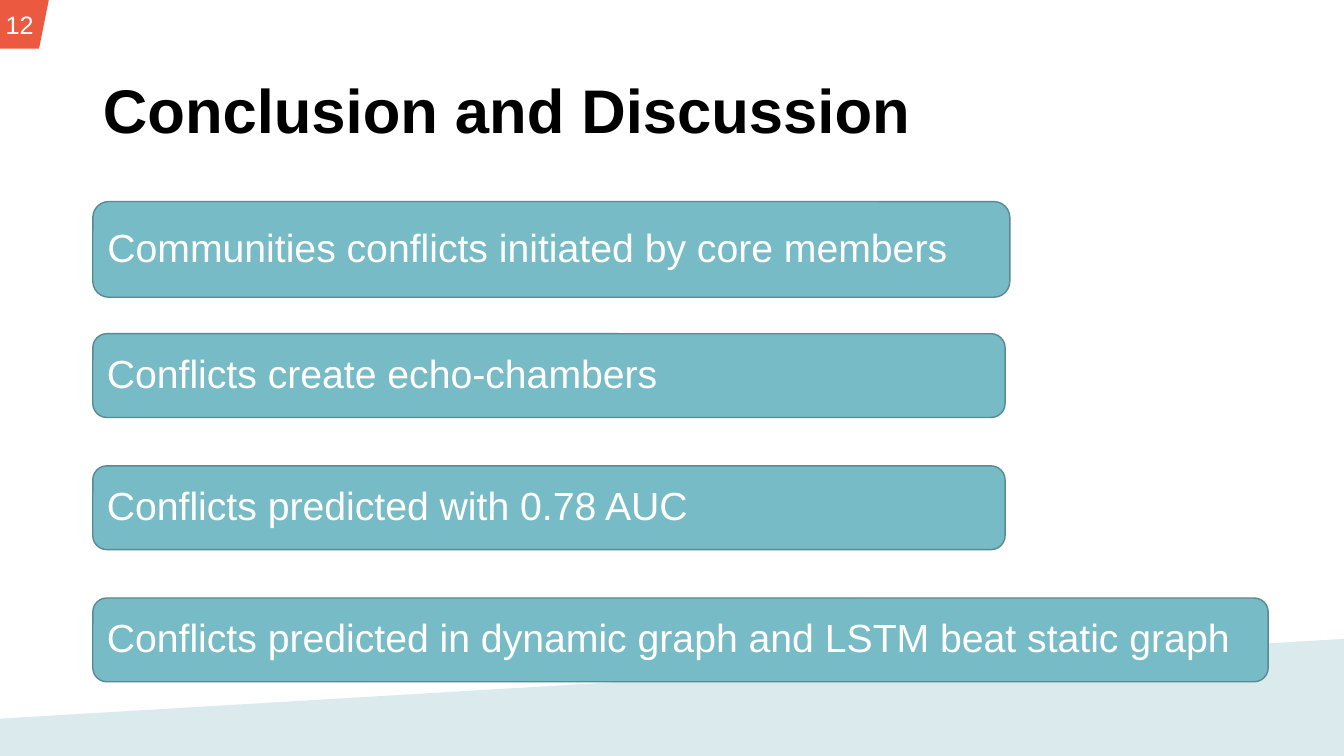
from lxml.etree import SubElement
from pptx import Presentation
from pptx.dml.color import RGBColor as RGB
from pptx.enum.shapes import MSO_SHAPE as SHAPE
from pptx.enum.text import MSO_ANCHOR as ANCHOR, MSO_AUTO_SIZE as FIT, PP_ALIGN as ALIGN
from pptx.oxml.ns import qn
from pptx.util import Cm, Pt

INK = {"flag": "EB5A40", "wave": "469AA6", "bar": "76BBC5", "edge": "578A92",
       "white": "FFFFFF", "black": "000000"}
WIDE, HIGH = 33.87, 19.05
LEFT = 2.34

# Text, width and height of each bar
BARS = [
    ("Communities conflicts initiated by core members", 23.11, 2.41),
    ("Conflicts create echo-chambers", 22.99, 2.11),
    ("Conflicts predicted with 0.78 AUC", 22.99, 2.11),
    ("Conflicts predicted in dynamic graph and LSTM beat static graph", 29.62, 2.11),
]


def write(shape, text, size=28, color="white", bold=False, wrap=True,
          anchor=ANCHOR.MIDDLE, space=0.9):
    frame = shape.text_frame
    frame.word_wrap = wrap
    frame.auto_size = FIT.NONE
    frame.vertical_anchor = anchor
    para = frame.paragraphs[0]
    para.alignment = ALIGN.LEFT
    para.line_spacing = space
    run = para.add_run()
    run.text = text
    font = run.font
    font.name, font.size, font.bold = "Arial", Pt(size), bold
    font.color.rgb = RGB.from_string(INK[color])


def paint(shape, fill, line=None):
    shape.shadow.inherit = False
    shape.fill.solid()
    shape.fill.fore_color.rgb = RGB.from_string(INK[fill])
    if line:
        shape.line.color.rgb = RGB.from_string(INK[line])
        shape.line.width = Pt(1)
    else:
        shape.line.fill.background()


def add_wave(slide, left, top, width, height, drop):
    """Pale band whose upper edge rises to the right."""
    right, base = left + width, top + height
    pen = slide.shapes.build_freeform(Cm(left), Cm(top + drop))
    pen.add_line_segments([(Cm(right), Cm(top)), (Cm(right), Cm(base)),
                           (Cm(left), Cm(base))])
    wave = pen.convert_to_shape()
    paint(wave, "wave")
    tint = wave._element.spPr.find(qn("a:solidFill"))[0]
    SubElement(tint, qn("a:alpha")).set("val", "20000")


def add_flag(slide, left, top, side, page):
    """Slanted page number flag."""
    flag = slide.shapes.add_shape(SHAPE.FLOWCHART_MANUAL_INPUT,
                                  Cm(left), Cm(top), Cm(side), Cm(side))
    flag.rotation = 270
    flag._element.spPr.find(qn("a:xfrm")).set("flipV", "1")
    paint(flag, "flag")
    label = slide.shapes.add_textbox(Cm(left - 0.11), Cm(top + 0.12), Cm(side), Cm(1.02))
    write(label, page, size=18, wrap=False, anchor=ANCHOR.TOP, space=1.0)


def add_title(slide, left, top, width, height, text):
    title = slide.shapes.title
    title.left, title.top = Cm(left), Cm(top)
    title.width, title.height = Cm(width), Cm(height)
    write(title, text, size=44, color="black", bold=True)


def add_bars(slide, left, top, pitch):
    """Rounded bars, one per finding, at an equal pitch."""
    for row, (text, width, height) in enumerate(BARS):
        bar = slide.shapes.add_shape(SHAPE.ROUNDED_RECTANGLE, Cm(left),
                                     Cm(top + row * pitch), Cm(width), Cm(height))
        paint(bar, "bar", "edge")
        write(bar, text)


def main():
    deck = Presentation()
    deck.slide_width, deck.slide_height = Cm(WIDE), Cm(HIGH)
    slide = deck.slides.add_slide(deck.slide_layouts[5])
    add_flag(slide, 0, 0, 1.23, "12")
    add_wave(slide, 0, 16.1, WIDE, HIGH - 16.1, 2.01)
    add_title(slide, LEFT, 1.02, 29.21, 3.68, "Conclusion and Discussion")
    add_bars(slide, LEFT, 5.08, 3.33)
    deck.save("out.pptx")


if __name__ == "__main__":
    main()
